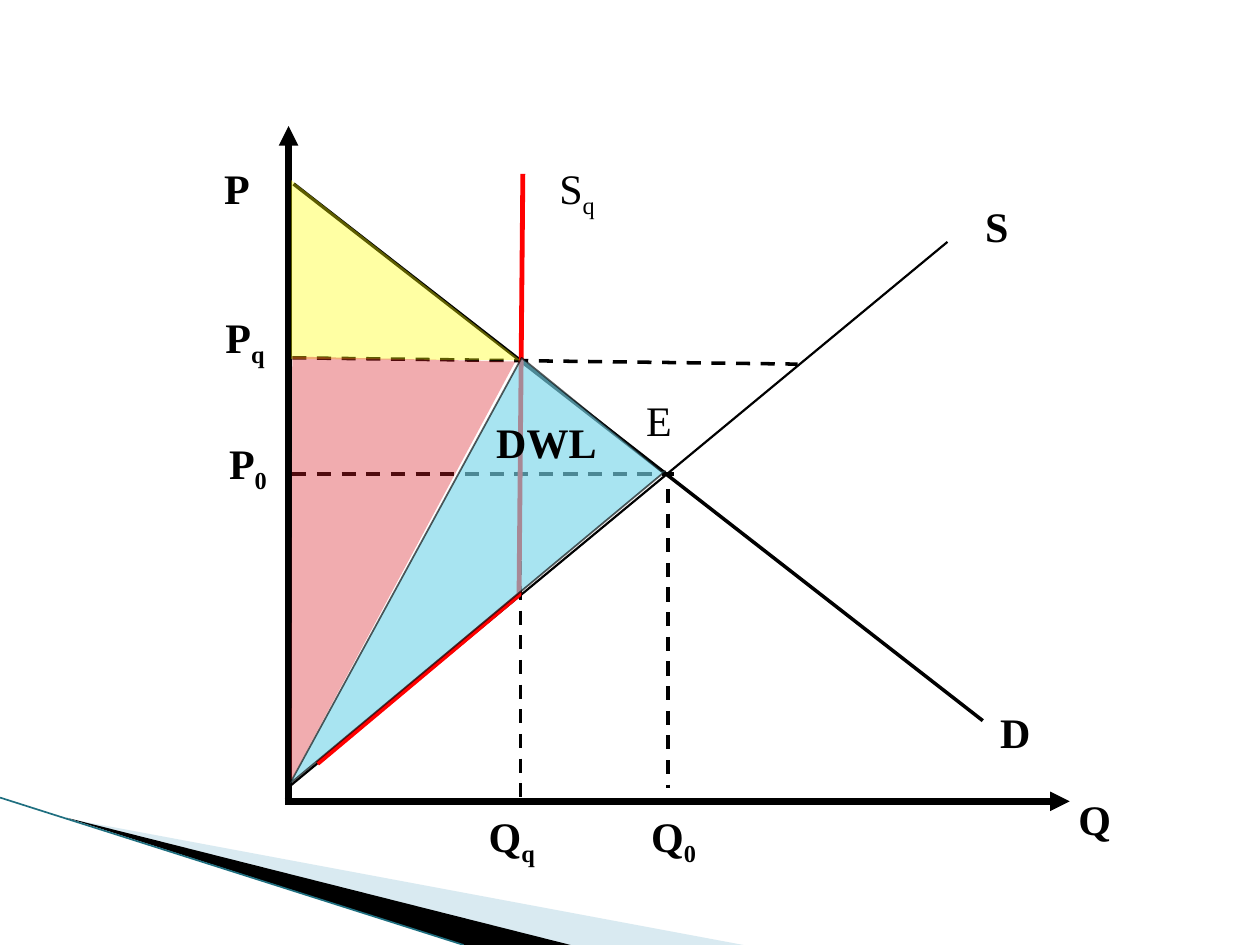
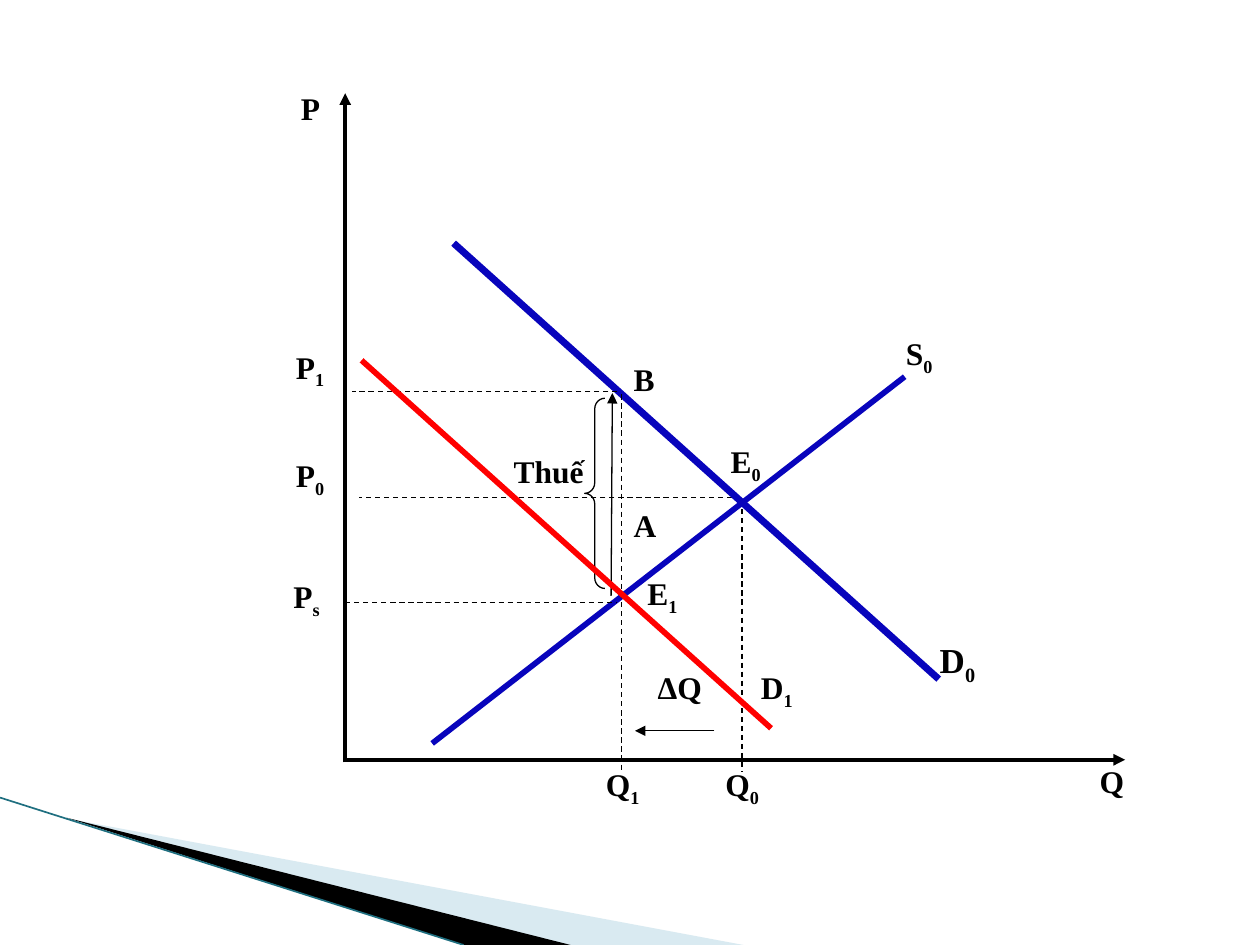
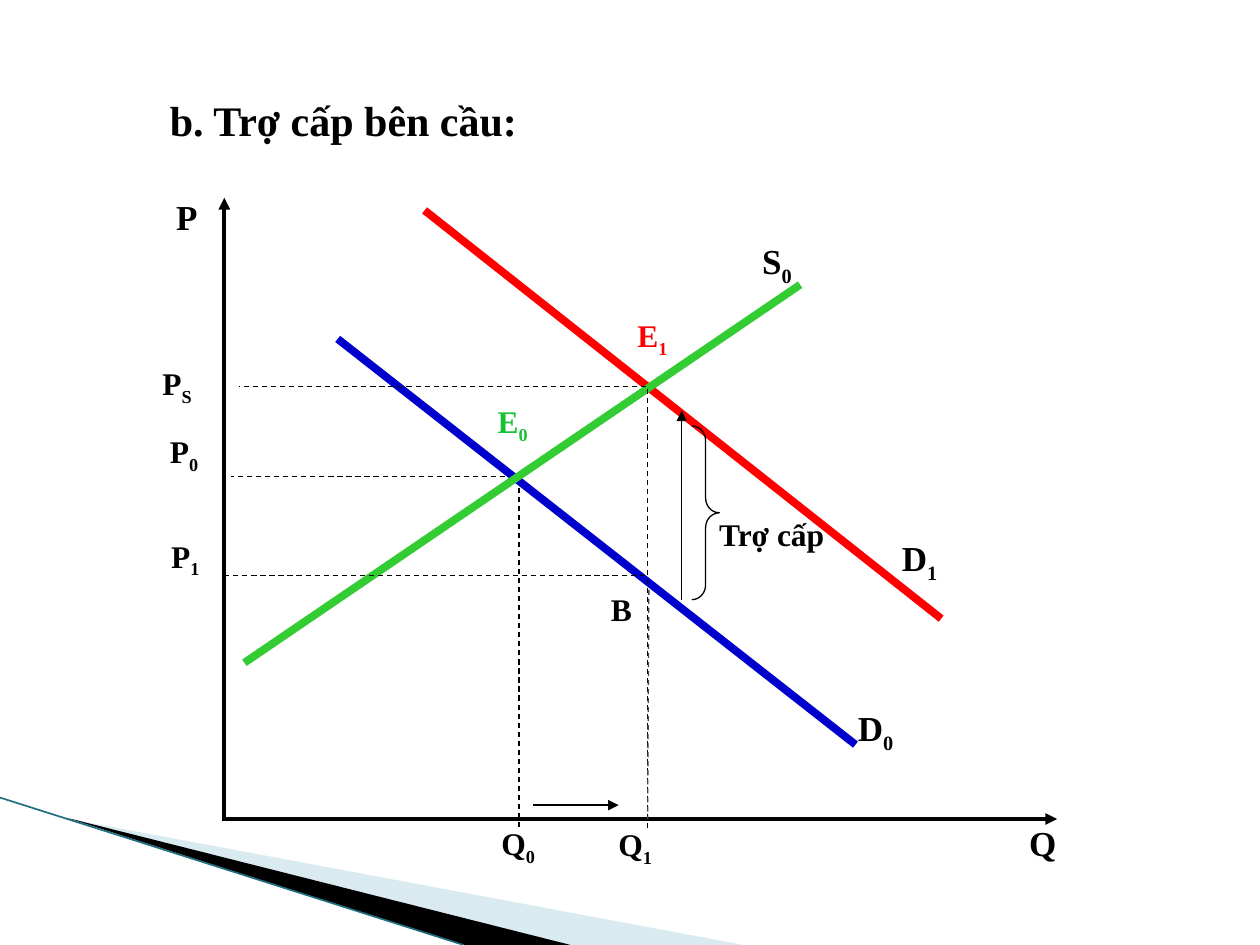
from dataclasses import dataclass

from lxml.etree import SubElement
from pptx import Presentation
from pptx.dml.color import RGBColor
from pptx.enum.dml import MSO_LINE
from pptx.enum.shapes import MSO_CONNECTOR, MSO_SHAPE
from pptx.enum.text import MSO_AUTO_SIZE, PP_ALIGN
from pptx.oxml.ns import qn
from pptx.util import Inches, Pt

FONT = "Times New Roman"
BLACK = "000000"
RED = "FF0000"
NAVY = "0804BC"
BLUE = "0000CC"
GREEN = "33CC33"
Point = tuple[float, float]


@dataclass
class Line:
    start: Point
    end: Point
    color: str = BLACK
    width: float = 0.75
    dash: bool = False
    arrow: bool = False


@dataclass
class Area:
    points: list[Point]
    fill: str | None = None
    alpha: int = 100
    line: str | None = None
    width: float = 1
    line_alpha: int = 100


@dataclass
class Label:
    """Text at a place; what follows an underscore is set as a subscript."""
    text: str
    left: float
    top: float
    width: float
    height: float
    size: float = 18
    color: str = BLACK
    bold: bool = True
    center: bool = False
    wrap: bool = True
    spacing: float | None = None


@dataclass
class Brace:
    left: float
    top: float
    width: float
    height: float
    turn: int = 0


def rgb(code: str) -> RGBColor:
    return RGBColor.from_string(code)


def fade(fill, alpha: int) -> None:
    """Make a solid fill let through what lies behind it."""
    if alpha < 100:
        node = fill._xPr.find(qn("a:solidFill"))[0]
        SubElement(node, qn("a:alpha")).set("val", str(alpha * 1000))


def draw_line(slide, item: Line) -> None:
    ends = [Inches(v) for v in (*item.start, *item.end)]
    shape = slide.shapes.add_connector(MSO_CONNECTOR.STRAIGHT, *ends)
    shape.line.color.rgb = rgb(item.color)
    shape.line.width = Pt(item.width)
    if item.dash:
        shape.line.dash_style = MSO_LINE.DASH
    if item.arrow:
        SubElement(shape.line._get_or_add_ln(), qn("a:tailEnd")).set("type", "triangle")
    SubElement(shape._element.spPr, qn("a:effectLst"))


def draw_area(slide, item: Area) -> None:
    """Draw a closed region if it has a fill, otherwise an open path."""
    first, *rest = [(Inches(x), Inches(y)) for x, y in item.points]
    path = slide.shapes.build_freeform(*first)
    path.add_line_segments(rest, close=item.fill is not None)
    shape = path.convert_to_shape()
    shape.shadow.inherit = False
    if item.fill:
        shape.fill.solid()
        shape.fill.fore_color.rgb = rgb(item.fill)
        fade(shape.fill, item.alpha)
    else:
        shape.fill.background()
    if item.line:
        shape.line.color.rgb = rgb(item.line)
        shape.line.width = Pt(item.width)
        fade(shape.line.fill, item.line_alpha)
    else:
        shape.line.fill.background()


def draw_label(slide, item: Label) -> None:
    place = [Inches(v) for v in (item.left, item.top, item.width, item.height)]
    frame = slide.shapes.add_textbox(*place).text_frame
    frame.word_wrap = item.wrap
    frame.auto_size = MSO_AUTO_SIZE.NONE
    para = frame.paragraphs[0]
    para.alignment = PP_ALIGN.CENTER if item.center else PP_ALIGN.LEFT
    if item.spacing:
        para.line_spacing = item.spacing
    for level, part in enumerate(item.text.split("_")):
        run = para.add_run()
        run.text = part
        run.font.name = FONT
        run.font.size = Pt(item.size)
        run.font.bold = item.bold
        run.font.color.rgb = rgb(item.color)
        if level:
            run._r.get_or_add_rPr().set("baseline", "-25000")


def draw_brace(slide, item: Brace) -> None:
    place = [Inches(v) for v in (item.left, item.top, item.width, item.height)]
    shape = slide.shapes.add_shape(MSO_SHAPE.RIGHT_BRACE, *place)
    shape.adjustments[0] = 0.53
    shape.rotation = item.turn
    shape.shadow.inherit = False
    shape.fill.background()
    shape.line.color.rgb = rgb(BLACK)
    shape.line.width = Pt(0.75)


DRAW = {Line: draw_line, Area: draw_area, Label: draw_label, Brace: draw_brace}


def guide(start: Point, end: Point, width: float = 0.75, color: str = BLACK) -> Line:
    return Line(start, end, color, width, dash=True)


def axis(start: Point, end: Point, width: float = 2.25) -> Line:
    return Line(start, end, width=width, arrow=True)


def big(text: str, left: float, top: float, width: float, **more) -> Label:
    return Label(text, left, top, width, 0.5, 24, **more)


BAND = [
    Area([(0.55, 6.5), (5.9, 7.5), (4.5, 7.5)], "A0CBDC", 40),
    Area([(0.53, 6.49), (4.53, 7.5), (3.68, 7.5)], BLACK),
    Line((0, 6.33), (3.68, 7.5), "1F6F80", 0.95),
]

QUOTA = [
    guide((2.32, 2.84), (6.33, 2.89), 2),
    guide((4.13, 2.89), (4.13, 6.41), 2),
    axis((2.29, 6.38), (2.29, 1), 3.75),
    axis((2.26, 6.36), (8.49, 6.36), 3.75),
    Line((2.3, 6.24), (7.52, 1.92), width=1.25),
    Line((2.33, 1.46), (7.8, 5.72), width=2),
    guide((2.32, 3.76), (5.35, 3.76), 2),
    guide((5.3, 3.88), (5.3, 6.25), 2),
    Area([(2.52, 6.06), (4.12, 4.72), (4.15, 1.38)], line=RED, width=2.75),
    Area([(2.3, 6.22), (4.14, 2.84), (5.25, 3.74), (5.28, 3.74)],
         "78D6EA", 64, BLACK, 1, 63),
    Area([(2.31, 1.43), (4.13, 2.86), (2.31, 2.85)], "FFFF00", 36),
    Area([(2.32, 2.83), (4.09, 2.87), (2.31, 6.19)], "DA1F28", 37),
    big("P", 1.68, 1.24, 0.4, wrap=False),
    big("P_q", 1.69, 2.42, 0.79),
    big("P_0", 1.72, 3.42, 0.6),
    big("Q_q", 3.78, 6.38, 0.81),
    big("Q_0", 5.07, 6.38, 0.57, wrap=False),
    big("Q", 8.46, 6.25, 0.46, wrap=False),
    big("S", 7.72, 1.54, 0.39, wrap=False),
    big("D", 7.84, 5.56, 0.44, wrap=False),
    big("S_q", 4.25, 1.24, 0.66, bold=False, center=True),
    big("E", 5.03, 3.08, 0.53, bold=False),
    big("DWL", 3.84, 3.26, 1.07),
]

TAX = [
    axis((2.74, 6.03), (8.93, 6.03)),
    axis((2.74, 6.05), (2.74, 0.74)),
    Line((7.18, 2.99), (3.43, 5.9), NAVY, 3.25),
    guide((5.88, 3.95), (2.85, 3.95)),
    guide((5.89, 3.97), (5.89, 6.12)),
    guide((2.74, 4.78), (4.9, 4.78)),
    Line((3.6, 1.93), (7.45, 5.39), NAVY, 4),
    guide((4.9, 3.11), (2.79, 3.11)),
    guide((4.93, 3.13), (4.93, 6.12)),
    Line((5.67, 5.8), (5.04, 5.8), arrow=True),
    Brace(4.64, 3.16, 0.16, 1.51, 180),
    Line((4.85, 4.73), (4.86, 3.12), arrow=True),
    Line((2.87, 2.86), (6.12, 5.78), RED, 3.25),
    Label("P", 2.29, 0.66, 0.47, 0.63),
    Label("P_1", 2.25, 2.71, 0.73, 0.7),
    Label("P_0", 2.25, 3.57, 0.69, 0.71),
    Label("P_s", 2.23, 4.53, 0.73, 0.7),
    Label("Q_1", 4.71, 6.02, 0.7, 0.69),
    Label("Q_0", 5.66, 6.02, 0.7, 0.69),
    Label("Q", 8.63, 6, 0.56, 0.68),
    Label("S_0", 7.09, 2.6, 0.71, 0.64),
    Label("D_0", 7.36, 5.02, 0.67, 0.55, 20),
    Label("D_1", 5.94, 5.25, 0.71, 0.67),
    Label("E_0", 5.7, 3.46, 0.62, 0.64),
    Label("E_1", 5.04, 4.51, 0.63, 0.53),
    Label("A", 4.93, 3.97, 0.46, 0.5),
    Label("B", 4.93, 2.81, 0.46, 0.5),
    Label("ΔQ", 5.12, 5.25, 0.68, 0.65),
    Label("Thuế", 3.86, 3.54, 0.99, 0.5, center=True),
]

SUBSIDY = [
    Label("b. Trợ cấp bên cầu:", 1.25, 0.5, 7.95, 0.71, 24, spacing=1.5),
    Line((7.47, 4.91), (3.37, 1.67), RED, 4.5),
    guide((4.08, 3.78), (1.83, 3.78)),
    guide((4.12, 3.8), (4.12, 6.58)),
    axis((1.78, 6.5), (8.39, 6.5)),
    axis((1.78, 6.52), (1.78, 1.57)),
    Line((2.68, 2.69), (6.79, 5.91), BLUE, 4.5),
    Line((6.35, 2.26), (1.94, 5.26), GREEN, 4.5),
    Brace(5.49, 3.38, 0.22, 1.38),
    Line((5.41, 4.76), (5.41, 3.26), arrow=True),
    guide((5.13, 3.07), (1.9, 3.07)),
    guide((5.14, 3.09), (5.14, 6.58)),
    guide((1.78, 4.57), (5.14, 4.57)),
    Line((4.23, 6.39), (4.91, 6.39), arrow=True),
    guide((5.15, 4.68), (5.14, 6.5), color="464646"),
    Label("P", 1.3, 1.5, 0.5, 0.58, 20),
    Label("P_S", 1.19, 2.84, 0.78, 0.66),
    Label("P_0", 1.25, 3.38, 0.78, 0.66),
    Label("P_1", 1.26, 4.21, 0.73, 0.66),
    Label("Q_0", 3.88, 6.49, 0.71, 0.65),
    Label("Q_1", 4.81, 6.5, 0.77, 0.65),
    Label("Q", 8.07, 6.47, 0.59, 0.63, 20),
    Label("S_0", 5.95, 1.85, 0.76, 0.62, 20),
    Label("D_0", 6.71, 5.56, 0.71, 0.51, 20),
    Label("D_1", 7.06, 4.21, 0.76, 0.6, 20),
    Label("E_0", 3.85, 3.14, 0.78, 0.64, color="17C334"),
    Label("E_1", 4.96, 2.46, 0.65, 0.55, color=RED),
    Label("B", 4.75, 4.63, 0.62, 0.53),
    Label("Trợ cấp", 5.58, 4.04, 1.09, 0.64, center=True),
]


def main() -> None:
    deck = Presentation()
    deck.slide_width = Inches(10)
    deck.slide_height = Inches(7.5)
    for figure in (QUOTA, TAX, SUBSIDY):
        slide = deck.slides.add_slide(deck.slide_layouts[6])
        for item in BAND + figure:
            DRAW[type(item)](slide, item)
    deck.save("out.pptx")


if __name__ == "__main__":
    main()
